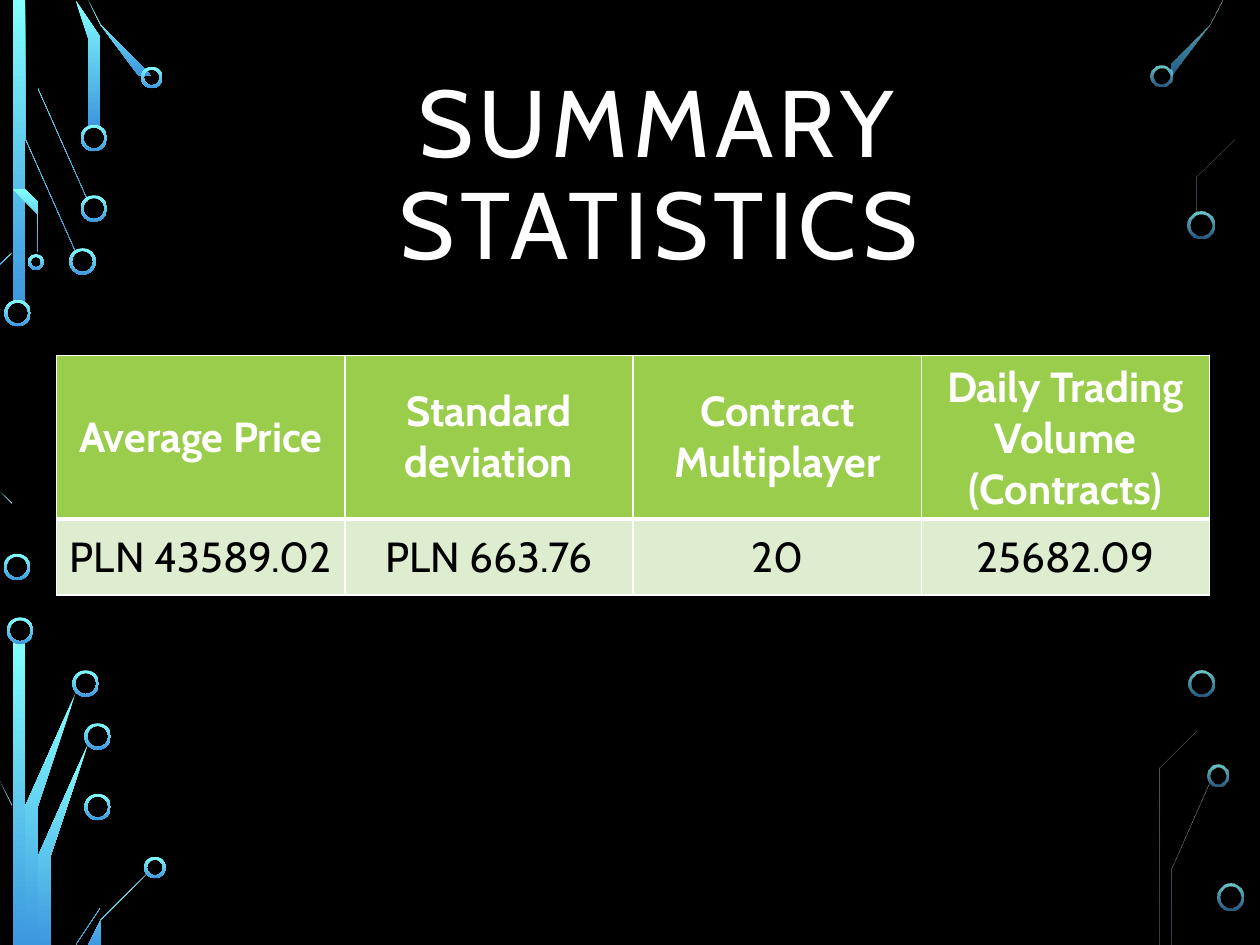
from math import hypot

from lxml.etree import SubElement
from pptx import Presentation
from pptx.dml.color import RGBColor
from pptx.enum.shapes import MSO_SHAPE as Shape
from pptx.enum.text import MSO_ANCHOR as Anchor, PP_ALIGN as Align
from pptx.oxml import parse_xml
from pptx.oxml.ns import nsdecls, qn
from pptx.util import Inches, Pt

BLACK = RGBColor(0x00, 0x00, 0x00)
WHITE = RGBColor(0xFF, 0xFF, 0xFF)
CYAN = RGBColor(0x82, 0xFF, 0xFF)
BLUE = RGBColor(0x3D, 0x97, 0xDE)
GREEN = RGBColor(0x9A, 0xCD, 0x4C)
PALE_GREEN = RGBColor(0xDE, 0xED, 0xD0)
FONT = "Cabin"

# The slide is a grid of 100 columns by 75 rows of square units.
COLUMNS, ROWS = 100, 75
UNIT = Inches(0.1)
TRACE_WIDTH = 0.25
RING_WIDTH = 0.21

# Circuit traces as centre lines, and rings as (centre x, centre y, diameter).
LEFT_TRACES = [
    [(1.4, 0.1), (1.4, 24)],
    [(2.3, 0.1), (2.3, 10.9), (6.1, 19.85)],
    [(3.25, 0.1), (3.25, 6.65), (7.1, 15.65)],
    [(6.1, 0.05), (7.45, 3.3), (7.45, 10)],
    [(7.15, 0.05), (7.95, 2.05), (11.55, 5.7)],
    [(0.15, 21), (1.4, 19.8)],
    [(0, 38.9), (1.35, 40.1), (1.35, 44.1)],
    [(1.5, 15.2), (2.85, 16.55), (2.85, 20.3)],
    [(1.6, 51), (1.6, 74.9)],
    [(6.35, 55.15), (2.55, 64.05), (2.55, 74.8)],
    [(0, 61.55), (0.65, 64.1), (0.65, 74.8)],
    [(7.35, 59.35), (3.55, 68.25), (3.55, 74.9)],
    [(7.75, 65), (7.75, 71.7), (6.35, 74.95)],
    [(11.8, 69.3), (8.25, 72.9), (7.45, 74.85)],
]
LEFT_RINGS = [
    (1.4, 24.85, 2.1), (1.35, 45, 2.1), (6.55, 20.75, 2.1), (7.45, 16.55, 2.1),
    (7.45, 10.95, 2.1), (12.05, 6.15, 1.7), (2.85, 20.8, 1.25), (1.6, 50.05, 2.1),
    (6.8, 54.25, 2.1), (7.75, 58.45, 2.1), (7.75, 64.05, 2.1), (12.3, 68.85, 1.7),
]
RIGHT_TRACES = [
    [(92.75, 5.55), (96.35, 1.95), (97.1, 0.05)],
    [(95.25, 16.9), (95.25, 13.85), (98.35, 10.75), (98.35, 0.1)],
    [(93.3, 74.9), (93.3, 69.35), (96.3, 62.35)],
    [(92.35, 74.9), (92.35, 61.35), (95.35, 58.35), (95.35, 55.2)],
    [(97.75, 72.1), (97.75, 74.9)],
]
RIGHT_RINGS = [
    (92.2, 6.05, 1.7), (95.3, 17.85, 2.1), (96.65, 61.55, 1.7),
    (95.35, 54.25, 2.1), (97.65, 71.2, 2.1),
]
TABLE_ROWS = [
    ["Average Price", "Standard deviation", "Contract Multiplayer",
     "Daily Trading Volume (Contracts)"],
    ["PLN 43589.02", "PLN 663.76", "20", "25682.09"],
]


def trace_outline(points):
    """Return the ribbon of TRACE_WIDTH around a centre line, with mitred bends."""
    normals = []
    for (x1, y1), (x2, y2) in zip(points, points[1:]):
        length = hypot(x2 - x1, y2 - y1)
        normals.append(((y1 - y2) / length, (x2 - x1) / length))
    one_side, other_side = [], []
    for (x, y), (ax, ay), (bx, by) in zip(
            points, normals[:1] + normals, normals + normals[-1:]):
        reach = TRACE_WIDTH / 2 / (1 + ax * bx + ay * by)
        dx, dy = (ax + bx) * reach, (ay + by) * reach
        one_side.append((x + dx, y + dy))
        other_side.append((x - dx, y - dy))
    return one_side + other_side[::-1]


def paint_circuit(shape, opacities):
    """Fill from cyan at the top to blue at the bottom, without line or shadow."""
    shape.shadow.inherit = False
    shape.line.fill.background()
    shape.fill.gradient()
    shape.fill.gradient_angle = 270
    for stop, color, opacity in zip(shape.fill.gradient_stops, (CYAN, BLUE), opacities):
        stop.color.rgb = color
    if opacities != (100, 100):
        for color_xml, opacity in zip(shape._element.spPr.iter(qn("a:srgbClr")), opacities):
            SubElement(color_xml, qn("a:alpha"), val=str(opacity * 1000))


prs = Presentation()
prs.slide_width, prs.slide_height = COLUMNS * UNIT, ROWS * UNIT
slide = prs.slides.add_slide(prs.slide_layouts[6])
slide.background.fill.solid()
slide.background.fill.fore_color.rgb = BLACK

# Circuit decoration
for traces, rings, opacities in [
    (LEFT_TRACES, LEFT_RINGS, (100, 100)),
    (RIGHT_TRACES, RIGHT_RINGS, (80, 60)),
]:
    for points in traces:
        start, *rest = trace_outline(points)
        builder = slide.shapes.build_freeform(*start, scale=UNIT)
        builder.add_line_segments(rest, close=True)
        paint_circuit(builder.convert_to_shape(), opacities)
    for x, y, size in rings:
        ring = slide.shapes.add_shape(
            Shape.DONUT, round((x - size / 2) * UNIT), round((y - size / 2) * UNIT),
            round(size * UNIT), round(size * UNIT))
        ring.adjustments[0] = RING_WIDTH / size
        paint_circuit(ring, opacities)

# Title
title = slide.shapes.add_textbox(
    round(26.2 * UNIT), round(5.4 * UNIT), round(52.2 * UNIT), round(17.5 * UNIT))
title.text_frame.word_wrap = True
title.text_frame.vertical_anchor = Anchor.MIDDLE
title.text_frame.text = "SUMMARY STATISTICS"
heading = title.text_frame.paragraphs[0]
heading.alignment = Align.CENTER
heading.line_spacing = 0.9
heading_font = heading.runs[0].font
heading_font.name, heading_font.size = FONT, Pt(54)
heading_font.color.rgb = WHITE
heading_font._element.set("spc", "300")

# Statistics table
statistics = slide.shapes.add_table(
    2, 4, round(4.5 * UNIT), round(28.2 * UNIT),
    round(91.5 * UNIT), round(17.2 * UNIT)).table
for row, height in zip(statistics.rows, (11.2, 6)):
    row.height = round(height * UNIT)
for r, texts in enumerate(TABLE_ROWS):
    is_header = r == 0
    for c, text in enumerate(texts):
        cell = statistics.cell(r, c)
        cell.text = text
        cell.vertical_anchor = Anchor.MIDDLE
        cell.fill.solid()
        cell.fill.fore_color.rgb = GREEN if is_header else PALE_GREEN
        paragraph = cell.text_frame.paragraphs[0]
        paragraph.alignment = Align.CENTER
        font = paragraph.runs[0].font
        font.name, font.size, font.bold = FONT, Pt(24), is_header
        font.color.rgb = WHITE if is_header else BLACK
        for i, side in enumerate("LRTB"):
            divides_header = (r, side) in [(0, "B"), (1, "T")]
            width = Pt(3 if divides_header else 1)
            cell._tc.tcPr.insert(i, parse_xml(
                f'<a:ln{side} {nsdecls("a")} w="{width}"><a:solidFill>'
                f'<a:srgbClr val="{WHITE}"/></a:solidFill></a:ln{side}>'))

prs.save("out.pptx")
